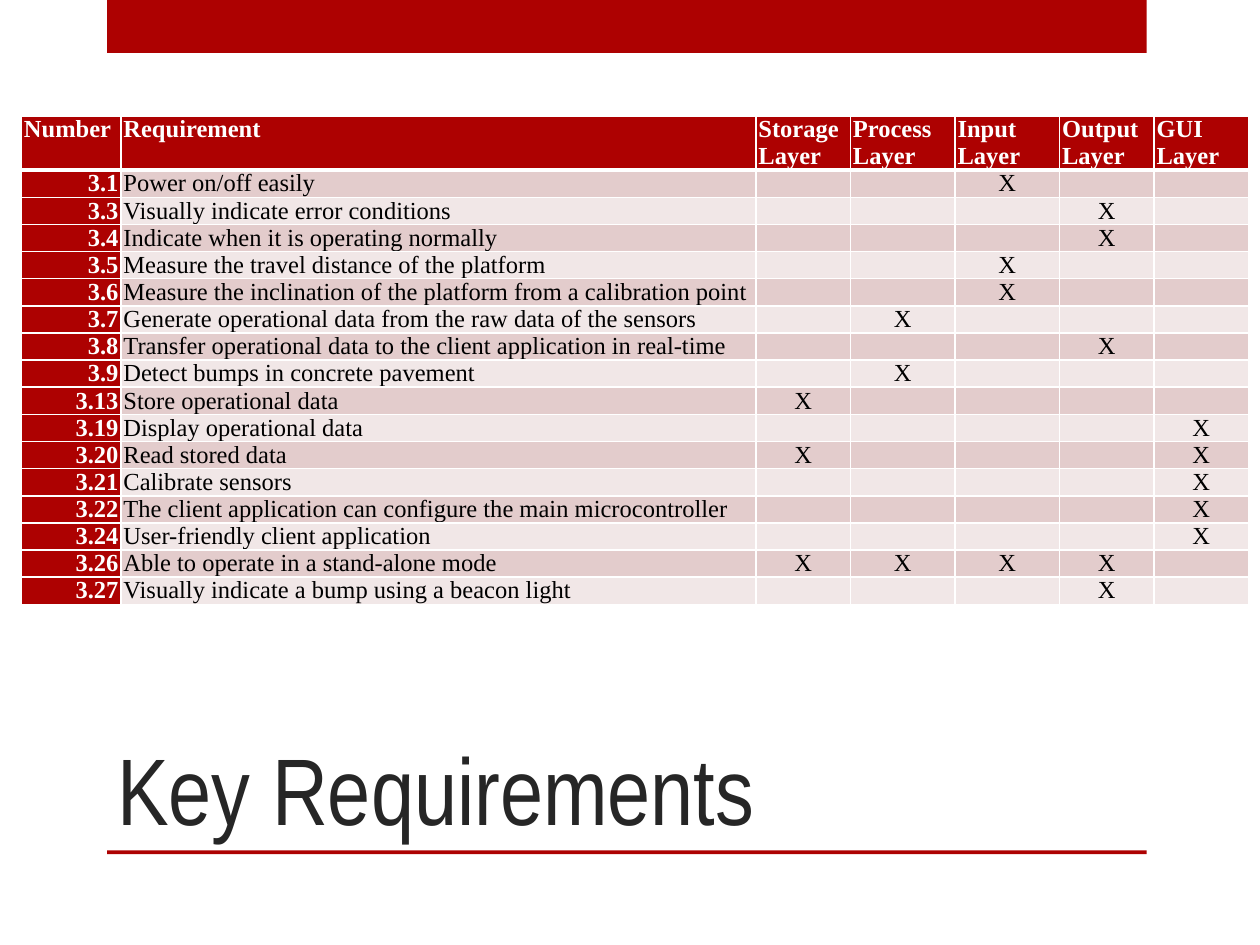
from typing import NamedTuple

from lxml.etree import SubElement
from pptx import Presentation
from pptx.dml.color import RGBColor
from pptx.enum.shapes import MSO_SHAPE
from pptx.enum.text import MSO_ANCHOR, MSO_AUTO_SIZE, PP_ALIGN
from pptx.oxml.ns import qn
from pptx.util import Inches, Pt

RED = RGBColor(0xAD, 0x01, 0x01)
DARK_BAND = RGBColor(0xE3, 0xCC, 0xCC)
LIGHT_BAND = RGBColor(0xF1, 0xE7, 0xE7)
WHITE = RGBColor(0xFF, 0xFF, 0xFF)
BLACK = RGBColor(0x00, 0x00, 0x00)
TITLE_GREY = RGBColor(0x26, 0x26, 0x26)

TABLE_FONT_SIZE = Pt(14)
HEADER_HEIGHT = Inches(0.43)
BODY_HEIGHT = Inches(3.44)
COLUMN_WIDTHS = (0.79, 5.04, 0.75, 0.83, 0.83, 0.75, 0.75)
LAYERS = ("Storage", "Process", "Input", "Output", "GUI")


class Requirement(NamedTuple):
    number: str
    description: str
    layers: tuple[str, ...]


class CellStyle(NamedTuple):
    fill: RGBColor
    color: RGBColor = BLACK
    bold: bool = False
    align: PP_ALIGN = PP_ALIGN.LEFT
    bottom_border: float = 1


REQUIREMENTS = (
    Requirement("3.1", "Power on/off easily", ("Input",)),
    Requirement("3.3", "Visually indicate error conditions", ("Output",)),
    Requirement("3.4", "Indicate when it is operating normally", ("Output",)),
    Requirement("3.5", "Measure the travel distance of the platform", ("Input",)),
    Requirement("3.6", "Measure the inclination of the platform from a calibration point", ("Input",)),
    Requirement("3.7", "Generate operational data from the raw data of the sensors", ("Process",)),
    Requirement("3.8", "Transfer operational data to the client application in real-time", ("Output",)),
    Requirement("3.9", "Detect bumps in concrete pavement", ("Process",)),
    Requirement("3.13", "Store operational data", ("Storage",)),
    Requirement("3.19", "Display operational data", ("GUI",)),
    Requirement("3.20", "Read stored data", ("Storage", "GUI")),
    Requirement("3.21", "Calibrate sensors", ("GUI",)),
    Requirement("3.22", "The client application can configure the main microcontroller", ("GUI",)),
    Requirement("3.24", "User-friendly client application", ("GUI",)),
    Requirement("3.26", "Able to operate in a stand-alone mode", ("Storage", "Process", "Input", "Output")),
    Requirement("3.27", "Visually indicate a bump using a beacon light", ("Output",)),
)

HEADER_STYLE = CellStyle(RED, WHITE, True, bottom_border=3)
NUMBER_STYLE = CellStyle(RED, WHITE, True, PP_ALIGN.RIGHT)


def add_bar(slide, top: float, height: float) -> None:
    bar = slide.shapes.add_shape(
        MSO_SHAPE.RECTANGLE, Inches(0.85), Inches(top), Inches(8.25), Inches(height)
    )
    bar.shadow.inherit = False
    bar.fill.solid()
    bar.fill.fore_color.rgb = RED
    bar.line.fill.background()


def add_border(cell, side: str, width: float) -> None:
    border = SubElement(cell._tc.get_or_add_tcPr(), qn(f"a:{side}"), w=str(Pt(width)))
    SubElement(SubElement(border, qn("a:solidFill")), qn("a:srgbClr"), val=str(WHITE))


def fill_cell(cell, text: str, style: CellStyle, top_border: float = 1) -> None:
    cell.margin_left = cell.margin_right = Inches(0.02)
    cell.margin_top = cell.margin_bottom = 0
    for side, width in (("lnL", 1), ("lnR", 1), ("lnT", top_border), ("lnB", style.bottom_border)):
        add_border(cell, side, width)
    cell.fill.solid()
    cell.fill.fore_color.rgb = style.fill

    paragraph = cell.text_frame.paragraphs[0]
    paragraph.alignment = style.align
    paragraph.font.name = "Times New Roman"
    paragraph.font.size = TABLE_FONT_SIZE
    paragraph.font.bold = style.bold
    paragraph.font.color.rgb = style.color
    if text:
        paragraph.add_run().text = text
    else:
        # Keeps blank cells from stretching the row to the default text size
        SubElement(paragraph._p, qn("a:endParaRPr"), sz=str(int(TABLE_FONT_SIZE.pt * 100)))


def add_requirements_table(slide) -> None:
    table = slide.shapes.add_table(
        len(REQUIREMENTS) + 1, len(COLUMN_WIDTHS), Inches(0.17), Inches(0.92),
        Inches(sum(COLUMN_WIDTHS)), HEADER_HEIGHT + BODY_HEIGHT,
    ).table
    table.first_col = True
    for column, width in zip(table.columns, COLUMN_WIDTHS):
        column.width = Inches(width)

    # Header row
    table.rows[0].height = HEADER_HEIGHT
    headings = ["Number", "Requirement", *(f"{layer} Layer" for layer in LAYERS)]
    for column, heading in enumerate(headings):
        fill_cell(table.cell(0, column), heading, HEADER_STYLE)

    # One row per requirement, with a mark under each layer it concerns
    for row, requirement in enumerate(REQUIREMENTS, start=1):
        table.rows[row].height = BODY_HEIGHT // len(REQUIREMENTS)
        band = DARK_BAND if row % 2 else LIGHT_BAND
        top_border = HEADER_STYLE.bottom_border if row == 1 else 1
        fill_cell(table.cell(row, 0), requirement.number, NUMBER_STYLE, top_border)
        fill_cell(table.cell(row, 1), requirement.description, CellStyle(band), top_border)
        mark_style = CellStyle(band, align=PP_ALIGN.CENTER)
        for column, layer in enumerate(LAYERS, start=2):
            mark = "X" if layer in requirement.layers else ""
            fill_cell(table.cell(row, column), mark, mark_style, top_border)


def set_title(slide) -> None:
    title = slide.shapes.title
    title.left, title.top = Inches(0.83), Inches(5)
    title.width, title.height = Inches(7.42), Inches(1.75)
    frame = title.text_frame
    frame.text = "Key Requirements"
    frame.word_wrap = True
    frame.auto_size = MSO_AUTO_SIZE.NONE
    frame.vertical_anchor = MSO_ANCHOR.BOTTOM
    heading = frame.paragraphs[0]
    heading.alignment = PP_ALIGN.LEFT
    heading.font.name = "Arial Narrow"
    heading.font.size = Pt(54)
    heading.font.color.rgb = TITLE_GREY


def main() -> None:
    presentation = Presentation()
    presentation.slide_width, presentation.slide_height = Inches(10), Inches(7.5)
    slide = presentation.slides.add_slide(presentation.slide_layouts[5])

    # Top band and rule under the title
    add_bar(slide, top=0, height=0.42)
    add_bar(slide, top=6.75, height=0.03)

    set_title(slide)
    add_requirements_table(slide)
    presentation.save("out.pptx")


if __name__ == "__main__":
    main()
